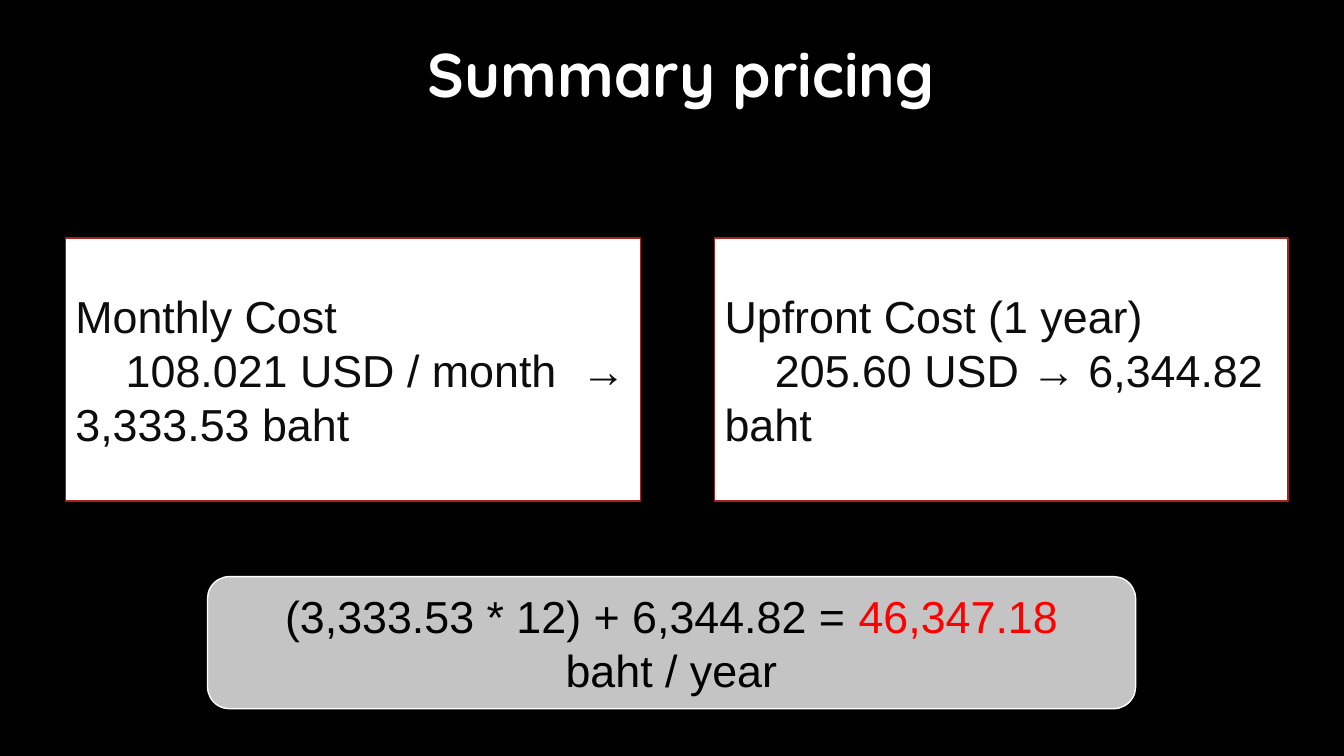
import pptx
import pptx.util
import pptx.dml.color
import pptx.enum.shapes
import pptx.enum.text

Cm, Pt = pptx.util.Cm, pptx.util.Pt
KIND = pptx.enum.shapes.MSO_SHAPE
ALIGN = pptx.enum.text.PP_ALIGN
ANCHOR = pptx.enum.text.MSO_ANCHOR


def color(code):
    return pptx.dml.color.RGBColor.from_string(code)


def panel(kind, left, top, width, height, fill, line):
    """Add a filled, outlined shape and return its text frame."""
    shape = slide.shapes.add_shape(kind, Cm(left), Cm(top), Cm(width), Cm(height))
    shape.shadow.inherit = False
    shape.fill.solid()
    shape.fill.fore_color.rgb = color(fill)
    shape.line.color.rgb = color(line)
    shape.line.width = Pt(1)
    frame = shape.text_frame
    frame.word_wrap = True
    frame.vertical_anchor = ANCHOR.MIDDLE
    return frame


deck = pptx.Presentation()
deck.slide_width, deck.slide_height = Cm(33.87), Cm(19.05)
slide = deck.slides.add_slide(deck.slide_layouts[6])
slide.background.fill.solid()
slide.background.fill.fore_color.rgb = color("000000")

# Title
title = slide.shapes.add_textbox(Cm(10.49), Cm(0.79), Cm(13.36), Cm(2.13)).text_frame
title.word_wrap = False
title.auto_size = pptx.enum.text.MSO_AUTO_SIZE.SHAPE_TO_FIT_TEXT
para = title.paragraphs[0]
para.text = "Summary pricing"
para.alignment = ALIGN.CENTER
para.font.name = "Quicksand"
para.font.size = Pt(44)
para.font.bold = True
para.font.color.rgb = color("FFFFFF")

# Cost cards
costs = [
    (1.65, 14.5, "Monthly Cost", "108.021 USD / month  → 3,333.53 baht"),
    (18.01, 14.45, "Upfront Cost (1 year)", "205.60 USD → 6,344.82 baht"),
]
for left, width, head, price in costs:
    card = panel(KIND.RECTANGLE, left, 6, width, 6.63, "FFFFFF", "A5221E")
    card.text = head + "\n" + price
    for para in card.paragraphs:
        para.alignment = ALIGN.LEFT
        para.font.name = "Arial"
        para.font.size = Pt(32)
        para.font.color.rgb = color("0D0D0D")
    # First-line indent of the price
    props = card.paragraphs[1]._p.get_or_add_pPr()
    props.set("marL", "0")
    props.set("indent", str(Cm(1.27)))

# Yearly total
total = panel(KIND.ROUNDED_RECTANGLE, 5.23, 14.53, 23.39, 3.33, "C4C4C4", "FFFFFF")
para = total.paragraphs[0]
para.alignment = ALIGN.CENTER
para.font.name = "Arial"
para.font.size = Pt(32)
parts = [
    ("(3,333.53 * 12) + 6,344.82 = ", "000000"),
    ("46,347.18 ", "FF0000"),
    ("baht / year", "000000"),
]
for text, shade in parts:
    run = para.add_run()
    run.text = text
    run.font.color.rgb = color(shade)

deck.save("out.pptx")
